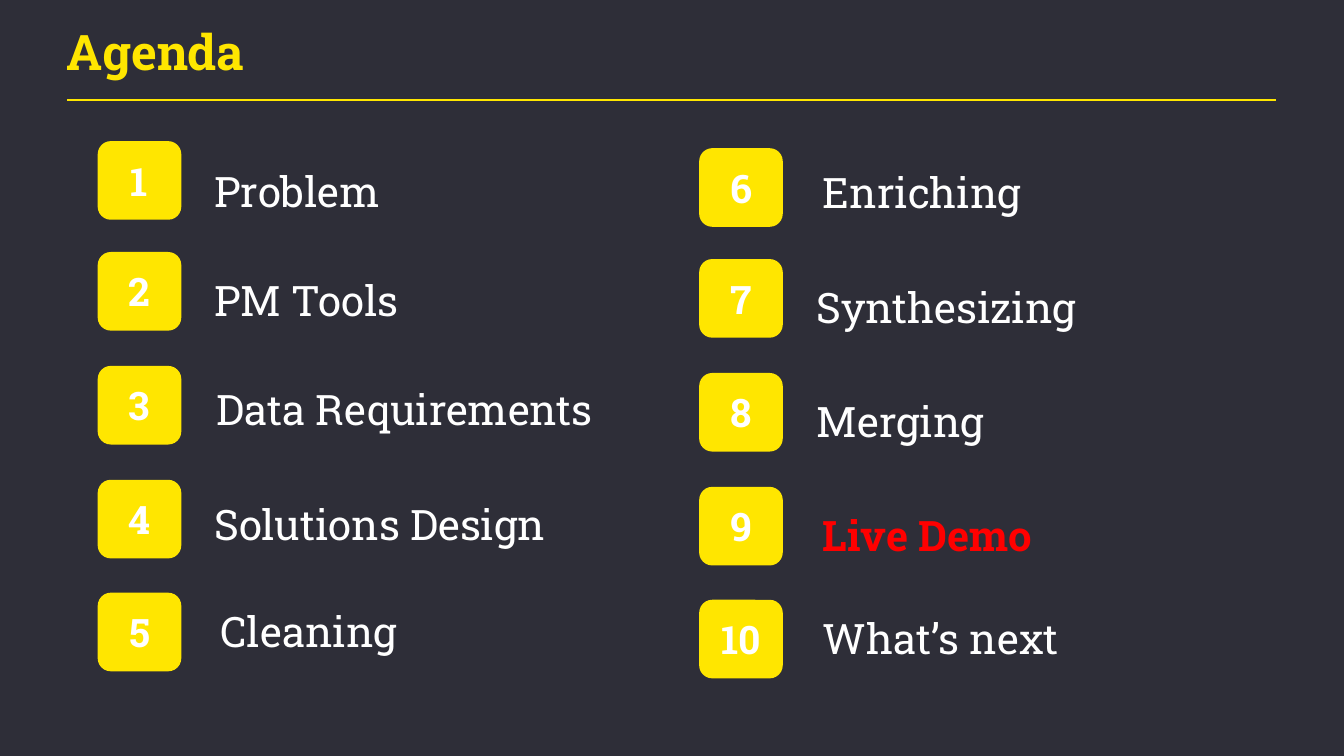
"""Build the Agenda slide: two columns of numbered topics."""
from lxml import etree
from pptx import Presentation
from pptx.dml.color import RGBColor
from pptx.enum.shapes import MSO_CONNECTOR, MSO_SHAPE
from pptx.enum.text import MSO_ANCHOR, PP_ALIGN
from pptx.oxml.ns import qn
from pptx.util import Inches, Pt

STRAIGHT = MSO_CONNECTOR.STRAIGHT
ROUNDED = MSO_SHAPE.ROUNDED_RECTANGLE
TOP, MIDDLE = MSO_ANCHOR.TOP, MSO_ANCHOR.MIDDLE
LEFT, CENTER = PP_ALIGN.LEFT, PP_ALIGN.CENTER

FONT = "Roboto Slab"
DARK, YELLOW, WHITE, RED = "2E2E38", "FFE600", "FFFFFF", "FF0000"

TITLE = "Agenda"
# Each topic: text, left, top, width, height of its label
COLUMNS = [
    {"badge_left": 0.97, "badge_top": 1.4, "topics": [
        ("Problem", 2.03, 1.54, 2.21, 0.61),
        ("PM Tools", 2.03, 2.62, 4.11, 0.61),
        ("Data Requirements", 2.05, 3.7, 4.11, 0.69),
        ("Solutions Design", 2.03, 4.85, 4.3, 0.61),
        ("Cleaning", 2.09, 5.91, 4.03, 0.66),
    ]},
    {"badge_left": 6.94, "badge_top": 1.47, "topics": [
        ("Enriching", 8.07, 1.55, 2.21, 0.61),
        ("Synthesizing", 8.01, 2.69, 4.11, 0.61),
        ("Merging", 8.01, 3.82, 4.11, 0.69),
        ("Live Demo", 8.07, 4.95, 4.3, 0.61),
        ("What’s next", 8.07, 5.98, 4.03, 0.66),
    ]},
]
HIGHLIGHT = "Live Demo"
BADGE_OFFSETS = [0, 1.1, 2.23, 3.36, 4.48]
BADGE_WIDTH, BADGE_HEIGHT = 0.83, 0.78


def rgb(color):
    return RGBColor.from_string(color)


def write(shape, text, *, size, color=WHITE, bold=False, align=LEFT,
          anchor=TOP, insets=(0.1, 0.1, 0.1, 0.1), line_spacing=None):
    frame = shape.text_frame
    frame.word_wrap = True
    frame.vertical_anchor = anchor
    (frame.margin_left, frame.margin_top,
     frame.margin_right, frame.margin_bottom) = map(Inches, insets)
    paragraph = frame.paragraphs[0]
    paragraph.alignment = align
    paragraph.line_spacing = line_spacing
    run = paragraph.add_run()
    run.text = text
    run.font.name = FONT
    run.font.size = Pt(size)
    run.font.bold = bold
    run.font.color.rgb = rgb(color)


def add_badge(slide, number, left, top):
    badge = slide.shapes.add_shape(
        ROUNDED, *map(Inches, (left, top, BADGE_WIDTH, BADGE_HEIGHT)))
    badge.shadow.inherit = False
    badge.adjustments[0] = 0.167
    badge.fill.solid()
    badge.fill.fore_color.rgb = rgb(YELLOW)
    badge.line.fill.background()
    write(badge, str(number), size=28, bold=True, align=CENTER, anchor=MIDDLE)


def add_label(slide, text, *box, **style):
    write(slide.shapes.add_textbox(*map(Inches, box)), text, **style)


def add_rule(slide, left, right, top):
    rule = slide.shapes.add_connector(
        STRAIGHT, *map(Inches, (left, top, right, top)))
    rule.line.color.rgb = rgb(YELLOW)
    rule.line.width = Pt(1.5)
    etree.SubElement(rule._element.spPr, qn("a:effectLst"))


def main():
    deck = Presentation()
    deck.slide_width, deck.slide_height = Inches(13.34), Inches(7.5)
    slide = deck.slides.add_slide(deck.slide_layouts[6])
    slide.background.fill.solid()
    slide.background.fill.fore_color.rgb = rgb(DARK)

    add_rule(slide, 0.67, 12.67, 0.99)
    add_label(slide, TITLE, 0.66, 0.26, 2.51, 0.54, size=35, color=YELLOW,
              bold=True, insets=(0, 0.04, 0, 0), line_spacing=0.85)

    number = 1
    for column in COLUMNS:
        for offset, (topic, *box) in zip(BADGE_OFFSETS, column["topics"]):
            add_badge(slide, number, column["badge_left"],
                      column["badge_top"] + offset)
            highlighted = topic == HIGHLIGHT
            add_label(slide, topic, *box, size=30, bold=highlighted,
                      color=RED if highlighted else WHITE)
            number += 1

    deck.save("out.pptx")


if __name__ == "__main__":
    main()
